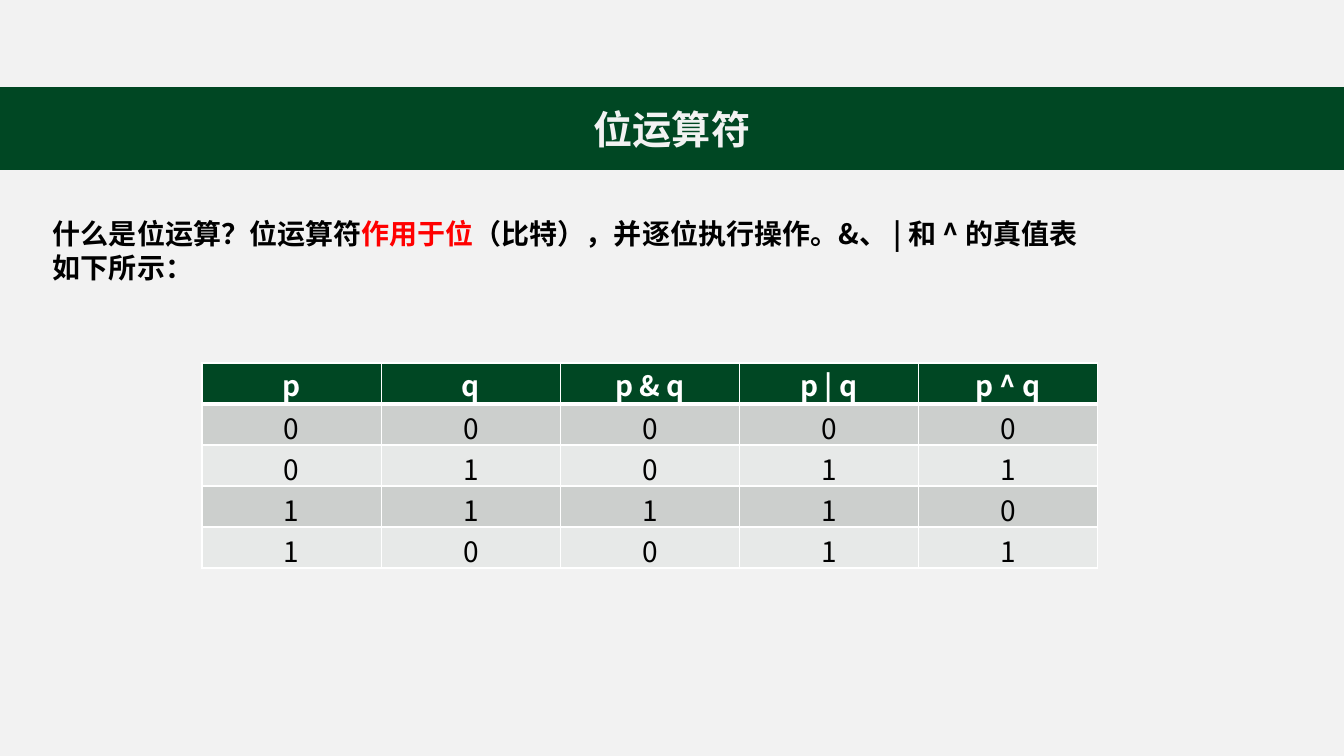
from pptx import Presentation
from pptx.dml.color import RGBColor
from pptx.enum.shapes import MSO_SHAPE as Preset
from pptx.enum.text import MSO_ANCHOR as Anchor, PP_ALIGN as Align
from pptx.oxml.ns import qn
from pptx.util import Pt
from lxml.etree import SubElement

PX = 914400 / 100.8
FONT = "Noto Sans CJK SC"
GREEN, WHITE, BLACK, RED, PAPER = "004723", "FFFFFF", "000000", "FF0000", "F2F2F2"
STRIPES = ("CCCFCD", "E7E9E8")
INTRO = [
    [("什么是位运算？位运算符", BLACK), ("作用于位", RED),
     ("（比特），并逐位执行操作。&、 | 和 ^ 的真值表", BLACK)],
    [("如下所示：", BLACK)],
]
HEADINGS = ["p", "q", "p & q", "p | q", "p ^ q"]
INPUTS = [(0, 0), (0, 1), (1, 1), (1, 0)]


def px(length):
    return round(length * PX)


def paint(fill, color):
    fill.solid()
    fill.fore_color.rgb = RGBColor.from_string(color)


def place(shape, left, top, width, height):
    box = dict(left=left, top=top, width=width, height=height)
    for name, length in box.items():
        setattr(shape, name, px(length))


def add_span(para, text, color, size=20, bold=True):
    span = para.add_run()
    span.text = text
    for name, value in dict(size=Pt(size), bold=bold, name=FONT).items():
        setattr(span.font, name, value)
    paint(span.font.fill, color)
    SubElement(span.font._element, qn("a:ea"), typeface=FONT)


def add_panel(page, width, height):
    """Add a plain paper-coloured panel at the top left corner."""
    panel = page.shapes.add_shape(Preset.RECTANGLE, 0, 0, px(width), px(height))
    panel.shadow.inherit = False
    paint(panel.fill, PAPER)
    panel.line.fill.background()


def add_title(page, text):
    title = page.shapes.title
    page.shapes._spTree.append(title._element)
    place(title, 0, 88, 1344, 81)
    paint(title.fill, GREEN)
    paint(title.line.fill, GREEN)
    title.line.width = Pt(1)
    title.text_frame.vertical_anchor = Anchor.MIDDLE
    para = title.text_frame.paragraphs[0]
    para.alignment = Align.CENTER
    add_span(para, text, PAPER, size=28)


def add_intro(page, lines):
    frame = page.shapes.add_textbox(px(43), px(212), px(1145), px(78)).text_frame
    frame.word_wrap = True
    for index, spans in enumerate(lines):
        para = frame.add_paragraph() if index else frame.paragraphs[0]
        for text, color in spans:
            add_span(para, text, color)


def add_borders(cell, bottom):
    """Draw white borders; they come before the fill in the cell properties."""
    properties = cell._tc.get_or_add_tcPr()
    widths = {"a:lnL": 1, "a:lnR": 1, "a:lnT": 1, "a:lnB": bottom}
    for index, (tag, points) in enumerate(widths.items()):
        line = SubElement(properties, qn(tag), w=str(Pt(points)))
        SubElement(SubElement(line, qn("a:solidFill")), qn("a:srgbClr"), val=WHITE)
        properties.insert(index, line)


def fill_cell(cell, text, row):
    header = row == 0
    side, edge = (1, 1) if header else (2, 3)
    margins = dict(margin_left=side, margin_right=side, margin_top=edge, margin_bottom=edge)
    for name, length in margins.items():
        setattr(cell, name, px(length))
    para = cell.text_frame.paragraphs[0]
    para.alignment = Align.CENTER
    add_span(para, text, WHITE if header else BLACK, bold=header)
    paint(cell.fill, GREEN if header else STRIPES[(row - 1) % 2])
    add_borders(cell, bottom=3 if header else 1)


def add_truth_table(page):
    rows = [HEADINGS] + [[p, q, p & q, p | q, p ^ q] for p, q in INPUTS]
    table = page.shapes.add_table(
        len(rows), len(HEADINGS), px(202), px(363), px(896), px(205)).table
    for row, values in enumerate(rows):
        for column, value in enumerate(values):
            fill_cell(table.cell(row, column), str(value), row)


def main():
    deck = Presentation()
    deck.slide_width, deck.slide_height = px(1344), px(756)
    page = deck.slides.add_slide(deck.slide_layouts[5])
    add_panel(page, 1344, 756)
    add_panel(page, 1344, 88)
    add_title(page, "位运算符")
    add_intro(page, INTRO)
    add_truth_table(page)
    deck.save("out.pptx")


if __name__ == "__main__":
    main()
